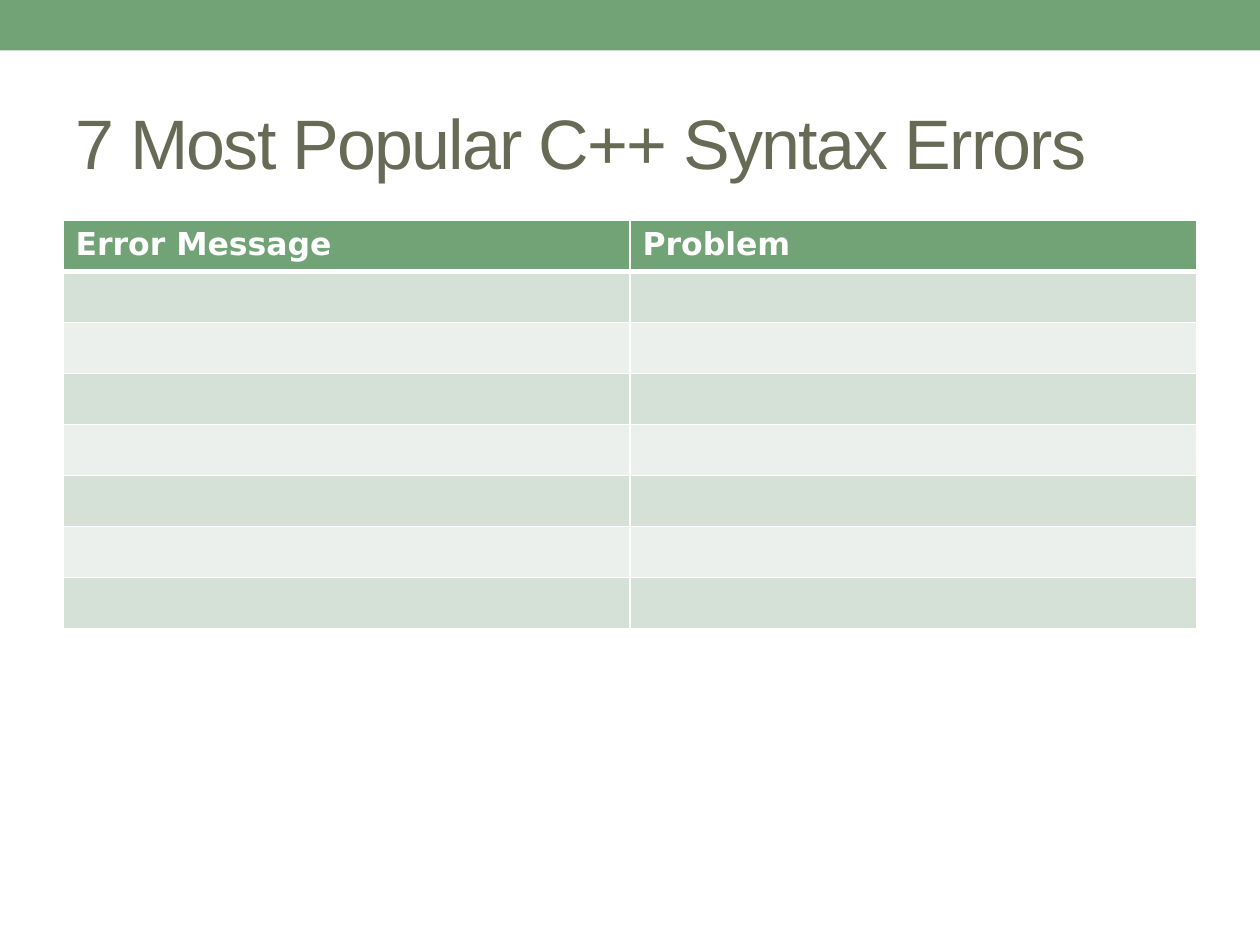
from dataclasses import dataclass
from typing import Any

from lxml.etree import SubElement
from pptx import Presentation
from pptx.dml.color import RGBColor
from pptx.enum.shapes import MSO_SHAPE
from pptx.enum.text import MSO_ANCHOR
from pptx.oxml.ns import qn
from pptx.util import Inches, Pt

GREEN, WHITE, OLIVE = "72A376", "FFFFFF", "676A55"
BANDS = ("D5E0D6", "EBF0EC")
HEADINGS = ("Error Message", "Problem")
ERROR_ROWS = 7
MARGIN, CONTENT_WIDTH, ROW_HEIGHT = 0.5, 9, 0.405
TITLE_FORMAT = {"name": "Arial", "size": Pt(40), "bold": False}
HEADING_FORMAT = {"name": "DejaVu Sans", "size": Pt(18), "bold": True}


@dataclass(frozen=True)
class Box:
    """Position and size in inches."""

    left: float
    top: float
    width: float
    height: float

    def lengths(self) -> tuple:
        """Return the four lengths for a python-pptx call."""
        return tuple(Inches(n) for n in (self.left, self.top, self.width, self.height))


BANNER = Box(0, 0, 10, 0.4)
TITLE = Box(MARGIN, 0.58, CONTENT_WIDTH, 1.08)
TABLE = Box(MARGIN, 1.75, CONTENT_WIDTH, ROW_HEIGHT * (ERROR_ROWS + 1))


def paint(fill: Any, color: str) -> None:
    """Give a fill one solid colour."""
    fill.solid()
    fill.fore_color.rgb = RGBColor.from_string(color)


def write(paragraph: Any, text: str, values: dict, color: str) -> Any:
    """Add a formatted run to a paragraph."""
    run = paragraph.add_run()
    run.text = text
    for name, value in values.items():
        setattr(run.font, name, value)
    run.font.color.rgb = RGBColor.from_string(color)
    return run


def draw_banner(slide: Any) -> None:
    """Draw the green band along the top edge."""
    shape = slide.shapes.add_shape(MSO_SHAPE.RECTANGLE, *BANNER.lengths())
    shape.shadow.inherit = False
    paint(shape.fill, GREEN)
    shape.line.fill.background()


def draw_title(slide: Any, text: str) -> None:
    """Write the title with tightened letter spacing."""
    frame = slide.shapes.add_textbox(*TITLE.lengths()).text_frame
    frame.word_wrap = True
    frame.vertical_anchor = MSO_ANCHOR.MIDDLE
    run = write(frame.paragraphs[0], text, TITLE_FORMAT, OLIVE)
    run.font._element.set("spc", "-100")


def border_cell(cell: Any, widths: dict[str, float]) -> None:
    """Add white borders to a cell."""
    properties = cell._tc.get_or_add_tcPr()
    for side, width in widths.items():
        line = SubElement(properties, qn(f"a:ln{side}"), w=str(Pt(width)))
        SubElement(SubElement(line, qn("a:solidFill")), qn("a:srgbClr"), val=WHITE)


def draw_table(slide: Any) -> None:
    """Draw the heading row and the empty banded rows."""
    frame = slide.shapes.add_table(ERROR_ROWS + 1, len(HEADINGS), *TABLE.lengths())
    for row_index, row in enumerate(frame.table.rows):
        is_heading = row_index == 0
        color = GREEN if is_heading else BANDS[(row_index - 1) % len(BANDS)]
        widths = {"L": 1, "R": 1, "T": 3 if row_index == 1 else 1, "B": 3 if is_heading else 1}
        for cell, heading in zip(row.cells, HEADINGS):
            border_cell(cell, widths)
            paint(cell.fill, color)
            if is_heading:
                write(cell.text_frame.paragraphs[0], heading, HEADING_FORMAT, WHITE)


def main() -> None:
    """Build and save the slide."""
    presentation = Presentation()
    presentation.slide_width, presentation.slide_height = Inches(10), Inches(7.5)
    slide = presentation.slides.add_slide(presentation.slide_layouts[6])
    paint(slide.background.fill, WHITE)
    draw_banner(slide)
    draw_title(slide, "7 Most Popular C++ Syntax Errors")
    draw_table(slide)
    presentation.save("out.pptx")


if __name__ == "__main__":
    main()
